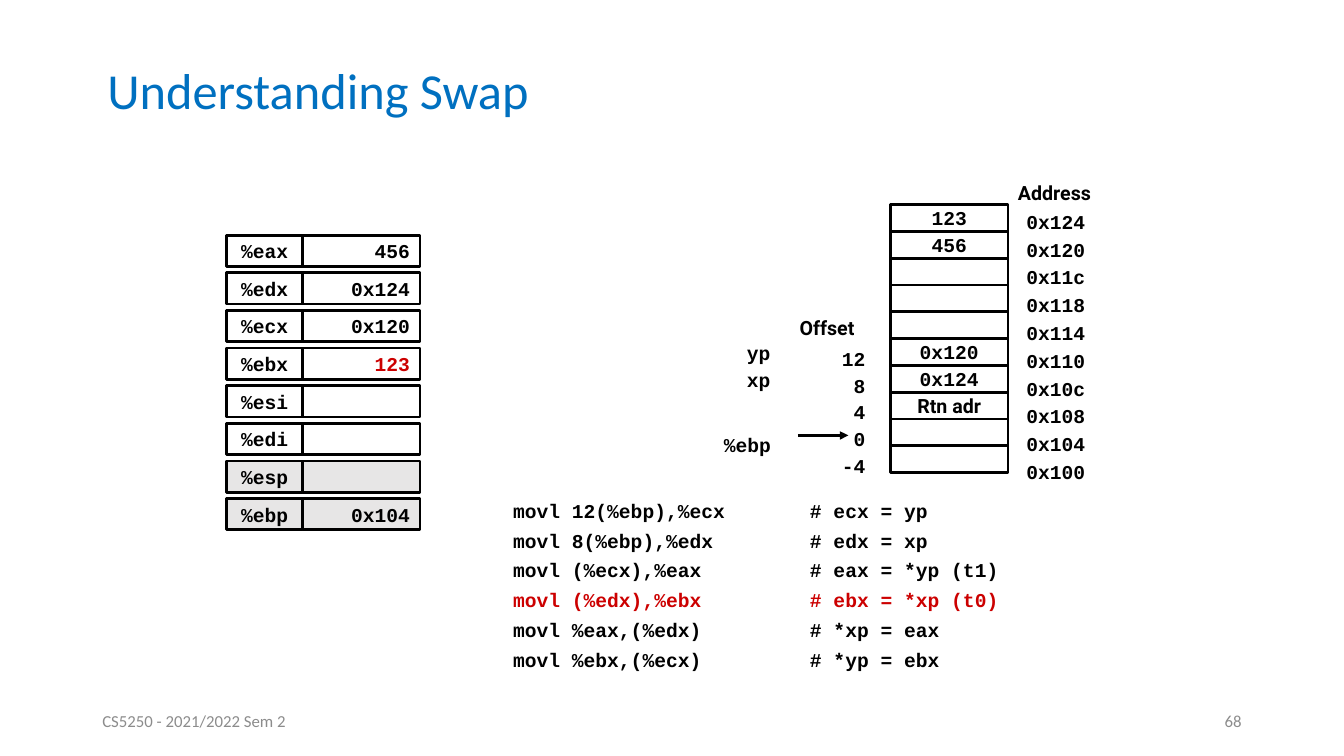
from lxml import etree
from pptx import Presentation
from pptx.dml.color import RGBColor
from pptx.enum.shapes import MSO_CONNECTOR as Connector, MSO_SHAPE as Shape
from pptx.enum.text import MSO_ANCHOR as Anchor, PP_ALIGN as Align
from pptx.oxml.ns import qn
from pptx.util import Inches, Pt

BLACK = RGBColor(0x00, 0x00, 0x00)
WHITE = RGBColor(0xFF, 0xFF, 0xFF)
RED = RGBColor(0xCC, 0x00, 0x00)
BLUE = RGBColor(0x00, 0x70, 0xC0)
GRAY = RGBColor(0x8C, 0x8C, 0x8C)
LIGHT_GRAY = RGBColor(0xE7, 0xE6, 0xE6)

BODY, CODE, LABEL = "Calibri", "Courier New", "Roboto"
COLUMNS, ROWS = 160, 90  # grid of twelfths of an inch

REGISTERS = [
    ("%eax", "456"), ("%edx", "0x124"), ("%ecx", "0x120"), ("%ebx", "123"),
    ("%esi", ""), ("%edi", ""), ("%esp", ""), ("%ebp", "0x104"),
]
STACK = ["123", "456", "", "", "", "0x120", "0x124", "Rtn adr", "", ""]
ADDRESSES = ["0x124", "0x120", "0x11c", "0x118", "0x114",
             "0x110", "0x10c", "0x108", "0x104", "0x100"]
OFFSETS = ["12", "8", "4", "0", "-4"]
INSTRUCTIONS = [
    ("movl 12(%ebp),%ecx", "# ecx = yp"),
    ("movl 8(%ebp),%edx", "# edx = xp"),
    ("movl (%ecx),%eax", "# eax = *yp (t1)"),
    ("movl (%edx),%ebx", "# ebx = *xp (t0)"),
    ("movl %eax,(%edx)", "# *xp = eax"),
    ("movl %ebx,(%ecx)", "# *yp = ebx"),
]
CURRENT_INSTRUCTION = 3
STACK_TOP, STACK_PITCH = 24.36, 3.19
ADDRESS_PITCH = 3.31
REGISTER_TOP, REGISTER_PITCH, REGISTER_HEIGHT = 28, 4.48, 3.72


def grid(units):
    return Inches(units / 12)


class SlideBuilder:
    """Draws styled elements placed in grid columns and rows."""

    def __init__(self, slide):
        self.slide = slide

    def style(self, paragraph, font=CODE, size=14, color=BLACK, bold=True,
              align=Align.LEFT, spacing=None):
        paragraph.alignment = align
        paragraph.line_spacing = spacing
        paragraph.font.name = font
        paragraph.font.size = Pt(size)
        paragraph.font.bold = bold
        paragraph.font.color.rgb = color

    def text(self, column, row, width, height, text="", anchor=Anchor.TOP, **style):
        box = self.slide.shapes.add_textbox(*map(grid, (column, row, width, height)))
        frame = box.text_frame
        frame.word_wrap = True
        frame.vertical_anchor = anchor
        frame.text = text
        self.style(frame.paragraphs[0], **style)
        return frame

    def cell(self, column, row, width, height, text, fill=WHITE, **style):
        box = self.slide.shapes.add_shape(
            Shape.RECTANGLE, *map(grid, (column, row, width, height)))
        box.shadow.inherit = False
        box.fill.solid()
        box.fill.fore_color.rgb = fill
        box.line.color.rgb = BLACK
        box.line.width = Pt(2)
        frame = box.text_frame
        frame.vertical_anchor = Anchor.MIDDLE
        frame.text = text
        self.style(frame.paragraphs[0], **{"align": Align.CENTER, **style})

    def arrow(self, start, end, row):
        line = self.slide.shapes.add_connector(
            Connector.STRAIGHT, grid(start), grid(row), grid(end), grid(row))
        line.line.color.rgb = BLACK
        line.line.width = Pt(2)
        etree.SubElement(line.line._get_or_add_ln(), qn("a:tailEnd"), type="triangle")
        etree.SubElement(line._element.spPr, qn("a:effectLst"))

    def code(self, column, row, width, height, lines, tabs, highlighted):
        frame = self.text(column, row, width, height)
        for index, parts in enumerate(lines):
            paragraph = frame.add_paragraph() if index else frame.paragraphs[0]
            paragraph.text = "".join("\t" + part for part in parts)
            self.style(paragraph, spacing=1.27,
                       color=RED if index == highlighted else BLACK)
            properties = paragraph._p.get_or_add_pPr()
            tab_list = etree.Element(qn("a:tabLst"))
            for tab in tabs:
                etree.SubElement(tab_list, qn("a:tab"), pos=str(grid(tab)), algn="l")
            properties.find(qn("a:defRPr")).addprevious(tab_list)


def draw_registers(builder):
    for index, (name, value) in enumerate(REGISTERS):
        row = REGISTER_TOP + index * REGISTER_PITCH
        fill = LIGHT_GRAY if name in ("%esp", "%ebp") else WHITE
        color = RED if name == "%ebx" else BLACK
        builder.cell(27, row, 9, REGISTER_HEIGHT, name, fill)
        builder.cell(36, row, 14, REGISTER_HEIGHT, value, fill,
                     color=color, align=Align.RIGHT)


def draw_stack(builder):
    for index, (value, address) in enumerate(zip(STACK, ADDRESSES)):
        font = LABEL if value == "Rtn adr" else CODE
        builder.cell(106, STACK_TOP + index * STACK_PITCH, 14, STACK_PITCH,
                     value, font=font)
        builder.text(121, STACK_TOP + index * ADDRESS_PITCH, 16, 4, address)
    builder.text(120, 21, 12, 4, "Address", font=LABEL)
    builder.text(94, 37, 10, 4, "Offset", font=LABEL)
    for index, offset in enumerate(OFFSETS):
        builder.text(99, 40.68 + index * STACK_PITCH, 5.2, 4, offset,
                     align=Align.RIGHT)
    for index, name in enumerate(("yp", "xp")):
        builder.text(86, 40.3 + index * STACK_PITCH, 8.64, 3.72, name,
                     align=Align.CENTER, spacing=0.9)
    builder.text(85, 50.9, 9, 4, "%ebp")
    builder.arrow(95, 101, 51.84)


def main():
    presentation = Presentation()
    presentation.slide_width = grid(COLUMNS)
    presentation.slide_height = grid(ROWS)
    builder = SlideBuilder(presentation.slides.add_slide(presentation.slide_layouts[6]))

    builder.text(11.6, 5.6, 104.4, 11, "Understanding Swap", Anchor.MIDDLE,
                 font=BODY, size=36, color=BLUE, bold=False, spacing=0.9)
    footer = dict(anchor=Anchor.MIDDLE, font=BODY, size=12, color=GRAY, bold=False)
    builder.text(11, 83.4, 36, 4.8, "CS5250 - 2021/2022 Sem 2", **footer)
    builder.text(113, 83.4, 36, 4.8, "68", align=Align.RIGHT, **footer)

    builder.code(54, 58, 78, 21.5, INSTRUCTIONS, (5.9, 41.25), CURRENT_INSTRUCTION)
    draw_stack(builder)
    draw_registers(builder)
    presentation.save("out.pptx")


if __name__ == "__main__":
    main()
